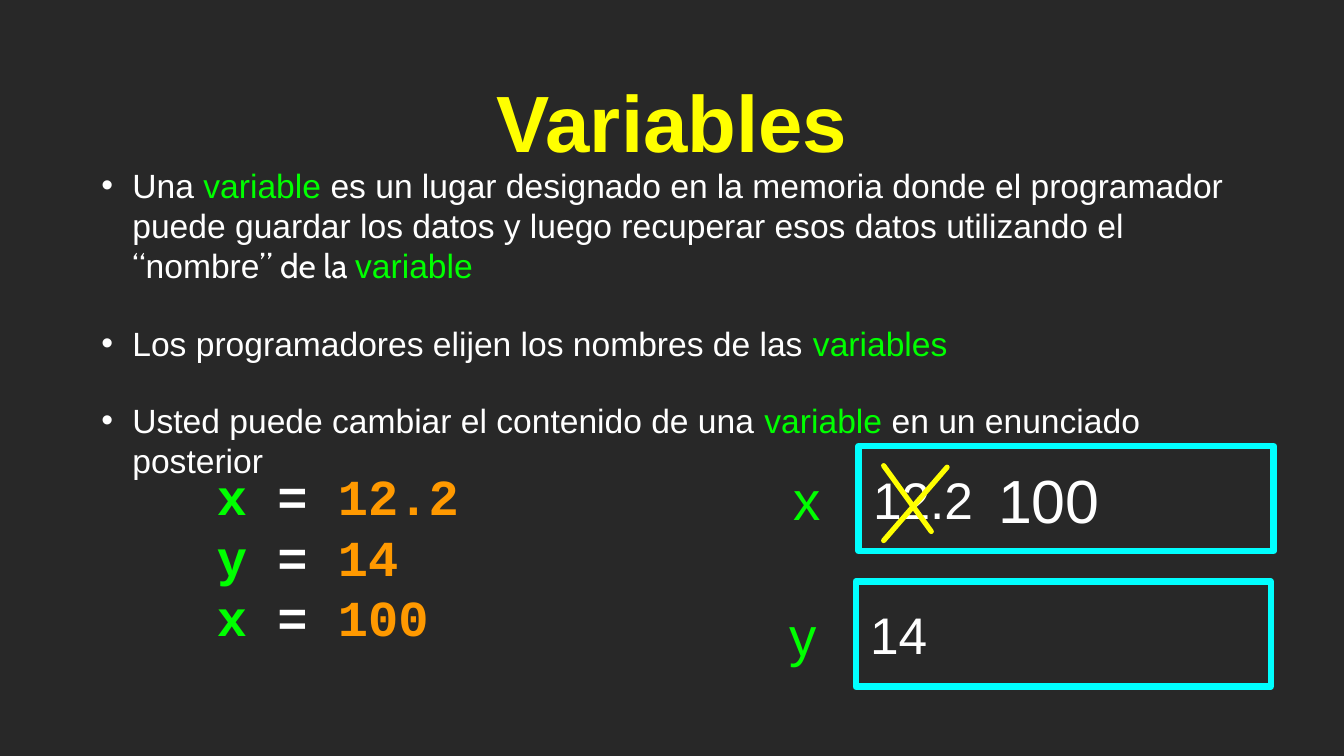
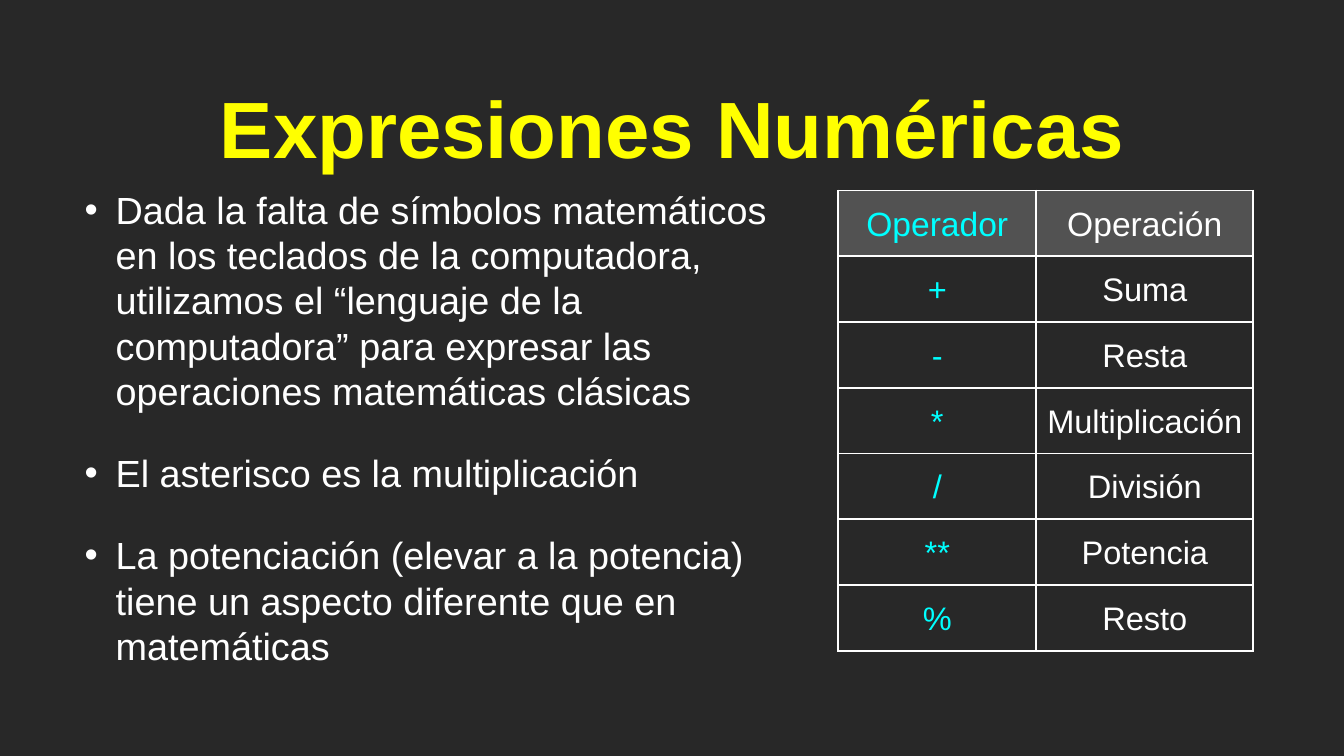
"""Build two dark slides on variables and numeric expressions."""
from dataclasses import dataclass
from typing import NamedTuple

from lxml import etree
from pptx import Presentation, util as u
from pptx.dml.color import RGBColor
from pptx.enum import shapes, text
from pptx.oxml import ns

WIDTH, HEIGHT = u.Inches(17.78), u.Inches(10)
BACKGROUND, WHITE, YELLOW = "282828", "FFFFFF", "FFFF00"
GREEN, CYAN, ORANGE, GRAY = "00FF00", "00FFFF", "FF9900", "7F7F7F"
SANS, QUOTE, CODE = "Arial", "Cabin", "Courier New"
INSET, BULLET_INDENT, BULLET_GAP = 0.04, 0.41, 35
LEFT, CENTER = text.PP_ALIGN.LEFT, text.PP_ALIGN.CENTER


class Box(NamedTuple):
    """Position and size as percentages of the slide."""
    left: float
    top: float
    width: float
    height: float


class Piece(NamedTuple):
    """A run of text with its colour and font."""
    words: str
    color: str = WHITE
    font: str = SANS


@dataclass(frozen=True)
class Style:
    """Settings shared by every paragraph of a text block."""
    size: float
    align: text.PP_ALIGN = LEFT
    bold: bool = False
    bullet: bool = False


@dataclass(frozen=True)
class Variable:
    """A named memory cell holding a value."""
    label: Piece
    label_box: Box
    value: Piece
    value_box: Box


TITLE = Style(76, CENTER, bold=True)
VARIABLES = [
    Variable(Piece("x", GREEN), Box(58.66, 61.2, 2.76, 9.4), Piece("12.2"), Box(63.89, 59, 30.88, 13.9)),
    Variable(Piece("y", GREEN), Box(58.55, 79.2, 2.47, 9.4), Piece("14"), Box(63.67, 76.9, 30.88, 13.9)),
]
CROSS_STROKES = [(70.47, 61.8, 65.75, 71.5), (65.75, 61.6, 69.29, 70.3)]
ASSIGNMENTS = [("x", "12.2"), ("y", "14"), ("x", "100")]
VARIABLE_POINTS = [
    [
        Piece("Una "),
        Piece("variable", GREEN),
        Piece(" es un lugar designado en la memoria donde el programador puede guardar "
              "los datos y luego recuperar esos datos utilizando el "),
        Piece("“", font=QUOTE),
        Piece("nombre"),
        Piece("” de la ", font=QUOTE),
        Piece("variable", GREEN),
    ],
    [Piece("Los programadores elijen los nombres de las "), Piece("variables", GREEN)],
    [
        Piece("Usted puede cambiar el contenido de una "),
        Piece("variable ", GREEN),
        Piece("en un enunciado posterior"),
    ],
]
EXPRESSION_POINTS = [
    [Piece("Dada la falta de símbolos matemáticos en los teclados de la computadora, "
           "utilizamos el “lenguaje de la computadora” para expresar las operaciones "
           "matemáticas clásicas")],
    [Piece("El asterisco es la multiplicación")],
    [Piece("La potenciación (elevar a la potencia) tiene un aspecto diferente que en matemáticas")],
]
OPERATORS = [
    ("Operador", "Operación"),
    ("+", "Suma"),
    ("-", "Resta"),
    ("*", "Multiplicación"),
    ("/", "División"),
    ("**", "Potencia"),
    ("%", "Resto"),
]
OPERATOR_COLUMNS = (14.74, 16.14)
OPERATOR_ROW = 8.7


def rgb(value: str) -> RGBColor:
    """Turn a hex string into a colour."""
    return RGBColor.from_string(value)


def across(percent: float) -> int:
    """Turn a share of the slide width into a length."""
    return round(WIDTH * percent / 100)


def down(percent: float) -> int:
    """Turn a share of the slide height into a length."""
    return round(HEIGHT * percent / 100)


def place(box: Box) -> tuple[int, int, int, int]:
    """Turn a percentage box into slide lengths."""
    return across(box.left), down(box.top), across(box.width), down(box.height)


def add_element(parent, tag: str, **attributes: str):
    """Append a drawing element to a parent."""
    return etree.SubElement(parent, ns.qn(tag), attributes)


def add_bullet(paragraph) -> None:
    """Give a paragraph a hanging white bullet."""
    properties = paragraph._p.get_or_add_pPr()
    properties.set("marL", str(u.Inches(2 * BULLET_INDENT)))
    properties.set("indent", str(-u.Inches(BULLET_INDENT)))
    add_element(add_element(properties, "a:buClr"), "a:srgbClr", val=WHITE)
    add_element(properties, "a:buFont", typeface=SANS)
    add_element(properties, "a:buChar", char="•")


def write(frame, lines: list[list[Piece]], style: Style) -> None:
    """Write lines of runs into a text frame."""
    frame.word_wrap = True
    for index, pieces in enumerate(lines):
        paragraph = frame.add_paragraph() if index else frame.paragraphs[0]
        paragraph.alignment = style.align
        paragraph.line_spacing = u.Pt(1.2 * style.size)
        if style.bullet:
            add_bullet(paragraph)
            paragraph.space_before = u.Pt(BULLET_GAP if index else 0)
        for piece in pieces:
            run = paragraph.add_run()
            run.text = piece.words
            run.font.size = u.Pt(style.size)
            run.font.bold = style.bold
            run.font.name = piece.font
            run.font.color.rgb = rgb(piece.color)


def set_insets(frame, inset: float) -> None:
    """Set equal margins and centre the text vertically."""
    frame.margin_left = frame.margin_right = u.Inches(inset)
    frame.margin_top = frame.margin_bottom = u.Inches(inset)
    frame.vertical_anchor = text.MSO_ANCHOR.MIDDLE


def add_text(slide, box: Box, lines: list[list[Piece]], style: Style, inset: float = 0) -> None:
    """Add a text box."""
    frame = slide.shapes.add_textbox(*place(box)).text_frame
    set_insets(frame, inset)
    write(frame, lines, style)


def add_slide(presentation, title: str, title_top: float):
    """Add a dark slide with its yellow title."""
    slide = presentation.slides.add_slide(presentation.slide_layouts[6])
    slide.background.fill.solid()
    slide.background.fill.fore_color.rgb = rgb(BACKGROUND)
    add_text(slide, Box(3.88, title_top, 92.24, 13.6), [[Piece(title, YELLOW)]], TITLE, INSET)
    return slide


def add_variable(slide, variable: Variable) -> None:
    """Draw a memory cell with its value and label."""
    shape = slide.shapes.add_shape(shapes.MSO_SHAPE.RECTANGLE, *place(variable.value_box))
    shape.shadow.inherit = False
    shape.fill.background()
    shape.line.color.rgb = rgb(CYAN)
    shape.line.width = u.Pt(6)
    add_element(shape.line._get_or_add_ln(), "a:round")
    set_insets(shape.text_frame, 0)
    shape.text_frame.margin_left = u.Inches(0.19)
    write(shape.text_frame, [[variable.value]], Style(49))
    add_text(slide, variable.label_box, [[variable.label]], Style(52, CENTER))


def add_cross(slide) -> None:
    """Strike out the replaced value."""
    group = slide.shapes.add_group_shape()
    for left, top, right, bottom in CROSS_STROKES:
        stroke = group.shapes.add_connector(
            shapes.MSO_CONNECTOR.STRAIGHT, across(left), down(top), across(right), down(bottom))
        stroke.line.color.rgb = rgb(YELLOW)
        stroke.line.width = u.Pt(5)
        stroke.line._get_or_add_ln().set("cap", "rnd")
        add_element(stroke._element.spPr, "a:effectLst")


def add_borders(cell) -> None:
    """Draw white lines on all sides of a cell."""
    properties = cell._tc.get_or_add_tcPr()
    for side in "LRTB":
        line = add_element(properties, f"a:ln{side}", w=str(u.Pt(2)))
        add_element(add_element(line, "a:solidFill"), "a:srgbClr", val=WHITE)


def fill_header(cell) -> None:
    """Fill a header cell with translucent gray."""
    cell.fill.solid()
    cell.fill.fore_color.rgb = rgb(GRAY)
    color = cell._tc.tcPr.find(ns.qn("a:solidFill")).find(ns.qn("a:srgbClr"))
    add_element(color, "a:alpha", val="49000")


def add_operators(slide) -> None:
    """Add the table of operators."""
    box = Box(62.37, 25.2, sum(OPERATOR_COLUMNS), OPERATOR_ROW * len(OPERATORS))
    table = slide.shapes.add_table(len(OPERATORS), len(OPERATOR_COLUMNS), *place(box)).table
    table.first_row = table.horz_banding = False
    for column, width in zip(table.columns, OPERATOR_COLUMNS):
        column.width = across(width)
    for row, words in enumerate(OPERATORS):
        table.rows[row].height = down(OPERATOR_ROW)
        for column, (word, color) in enumerate(zip(words, (CYAN, WHITE))):
            cell = table.cell(row, column)
            cell.margin_left = cell.margin_right = u.Inches(INSET)
            cell.margin_top = cell.margin_bottom = u.Inches(INSET)
            cell.vertical_anchor = text.MSO_ANCHOR.MIDDLE
            add_borders(cell)
            if row:
                cell.fill.background()
            else:
                fill_header(cell)
            write(cell.text_frame, [[Piece(word, color)]], Style(31 if row else 32, CENTER))


def add_variables_slide(presentation) -> None:
    """Build the slide on variables."""
    slide = add_slide(presentation, "Variables", 9.2)
    add_text(slide, Box(5.01, 28, 89.99, 29.3), VARIABLE_POINTS, Style(32, bullet=True), INSET)
    for variable in VARIABLES:
        add_variable(slide, variable)
    add_cross(slide)
    add_text(slide, Box(72.89, 60.9, 10.29, 10.3), [[Piece("100")]], Style(58, CENTER))
    code = [
        [Piece(f"{name} ", GREEN, CODE), Piece("= ", WHITE, CODE), Piece(value, ORANGE, CODE)]
        for name, value in ASSIGNMENTS
    ]
    add_text(slide, Box(16.14, 60.5, 24.86, 26.1), code, Style(48, bold=True))


def add_expressions_slide(presentation) -> None:
    """Build the slide on numeric expressions."""
    slide = add_slide(presentation, "Expresiones Numéricas", 9.9)
    add_text(slide, Box(3.77, 23.5, 55.57, 66), EXPRESSION_POINTS, Style(36, bullet=True), INSET)
    add_operators(slide)


def main() -> None:
    """Build and save the presentation."""
    presentation = Presentation()
    presentation.slide_width, presentation.slide_height = WIDTH, HEIGHT
    add_variables_slide(presentation)
    add_expressions_slide(presentation)
    presentation.save("out.pptx")


if __name__ == "__main__":
    main()
